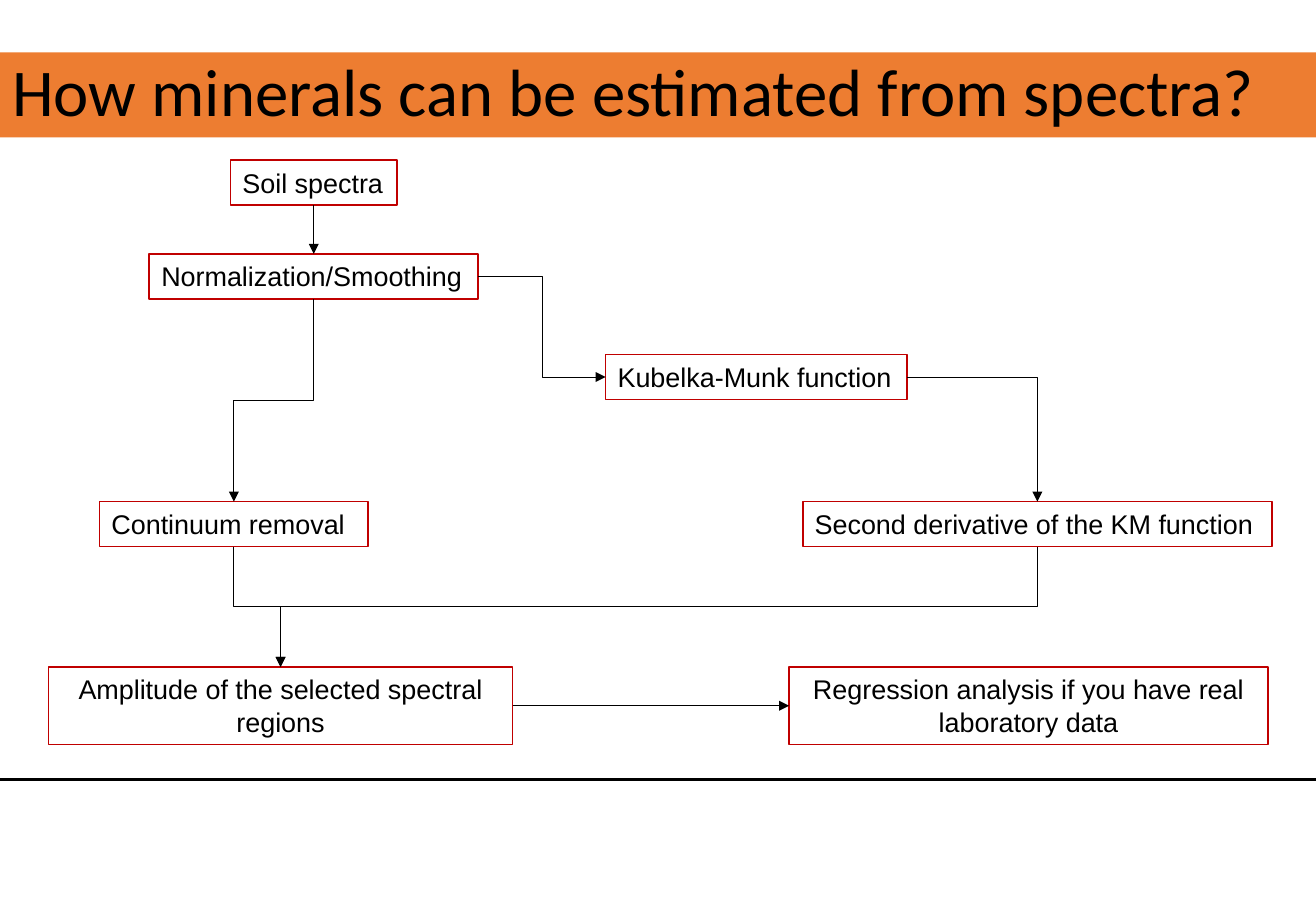
from pptx import Presentation
from pptx.dml.color import RGBColor
from pptx.enum import shapes, text
from pptx.oxml.ns import qn
from pptx.util import Pt
from lxml import etree

BLACK = RGBColor(0x00, 0x00, 0x00)
WHITE = RGBColor(0xFF, 0xFF, 0xFF)
RED = RGBColor(0xC0, 0x00, 0x00)
ORANGE = RGBColor(0xED, 0x7D, 0x31)
TOP, LEFT, BOTTOM, RIGHT = range(4)
LINE = shapes.MSO_CONNECTOR.STRAIGHT
ELBOW = shapes.MSO_CONNECTOR.ELBOW

prs = Presentation()
prs.slide_width, prs.slide_height = Pt(780), Pt(540)
s = prs.slides.add_slide(prs.slide_layouts[5])


def style_text(tf, font, size, align):
    p = tf.paragraphs[0]
    p.alignment = align
    r = p.runs[0]
    r.font.name = font
    r.font.size = Pt(size)
    r.font.color.rgb = BLACK


def add_line(kind, x1, y1, x2, y2, width):
    c = s.shapes.add_connector(kind, Pt(x1), Pt(y1), Pt(x2), Pt(y2))
    c.line.color.rgb = BLACK
    c.line.width = Pt(width)
    etree.SubElement(c._element.spPr, qn("a:effectLst"))
    return c


title = s.shapes.title
title.left, title.top, title.width, title.height = Pt(0), Pt(31), Pt(780), Pt(50.4)
title.fill.solid()
title.fill.fore_color.rgb = ORANGE
tf = title.text_frame
tf.text = "How minerals can be estimated from spectra?"
tf.auto_size = text.MSO_AUTO_SIZE.NONE
tf.vertical_anchor = text.MSO_ANCHOR.MIDDLE
tf.paragraphs[0].line_spacing = 0.9
style_text(tf, "Calibri", 39.6, text.PP_ALIGN.LEFT)

ONE_LINE, TWO_LINES = 26.64, 46.08
steps = {
    "spectra": ("Soil spectra", 136.6, 95, 98.8, ONE_LINE),
    "smoothing": ("Normalization/Smoothing", 88.5, 150.5, 195, ONE_LINE),
    "kubelka": ("Kubelka-Munk function", 359, 210.2, 178.8, ONE_LINE),
    "continuum": ("Continuum removal", 59, 297.3, 159.2, ONE_LINE),
    "derivative": ("Second derivative of the KM function", 475.8, 297.3, 278.2, ONE_LINE),
    "amplitude": ("Amplitude of the selected spectral regions", 28.8, 395.3, 275, TWO_LINES),
    "regression": ("Regression analysis if you have real laboratory data", 467.8, 395.3, 283.6, TWO_LINES),
}
boxes = {}
for name, (label, x, y, w, h) in steps.items():
    sp = s.shapes.add_shape(shapes.MSO_SHAPE.RECTANGLE, Pt(x), Pt(y), Pt(w), Pt(h))
    sp.shadow.inherit = False
    sp.fill.solid()
    sp.fill.fore_color.rgb = WHITE
    sp.line.color.rgb = RED
    sp.line.width = Pt(1)
    tf = sp.text_frame
    tf.word_wrap = True
    tf.vertical_anchor = text.MSO_ANCHOR.TOP
    tf.text = label
    align = text.PP_ALIGN.CENTER if h == TWO_LINES else text.PP_ALIGN.LEFT
    style_text(tf, "Arial", 16, align)
    boxes[name] = sp

arrows = [
    (LINE, "spectra", BOTTOM, "smoothing", TOP),
    (ELBOW, "smoothing", RIGHT, "kubelka", LEFT),
    (ELBOW, "kubelka", RIGHT, "derivative", TOP),
    (ELBOW, "smoothing", BOTTOM, "continuum", TOP),
    (ELBOW, "derivative", BOTTOM, "amplitude", TOP),
    (ELBOW, "continuum", BOTTOM, "amplitude", TOP),
    (LINE, "amplitude", RIGHT, "regression", LEFT),
]
for kind, start, start_side, end, end_side in arrows:
    c = add_line(kind, 0, 0, 0, 0, 0.5)
    c.begin_connect(boxes[start], start_side)
    c.end_connect(boxes[end], end_side)
    etree.SubElement(c.line._get_or_add_ln(), qn("a:tailEnd"), type="triangle")
    spPr = c._element.spPr
    if kind == ELBOW and end_side == TOP:
        if start_side == RIGHT:
            spPr.find(qn("a:prstGeom")).set("prst", "bentConnector2")
        else:
            dx, dy = c.end_x - c.begin_x, c.end_y - c.begin_y
            mid_x, mid_y = (c.begin_x + c.end_x) // 2, (c.begin_y + c.end_y) // 2
            c.width, c.height = dy, abs(dx)
            c.left, c.top = mid_x - dy // 2, mid_y - abs(dx) // 2
            xfrm = spPr.find(qn("a:xfrm"))
            xfrm.set("rot", str((270 if dx > 0 else 90) * 60000))
            xfrm.set("flipH", "1" if dx > 0 else "0")

add_line(LINE, 0, 462.2, 780, 462.2, 1.5)

prs.save("out.pptx")
